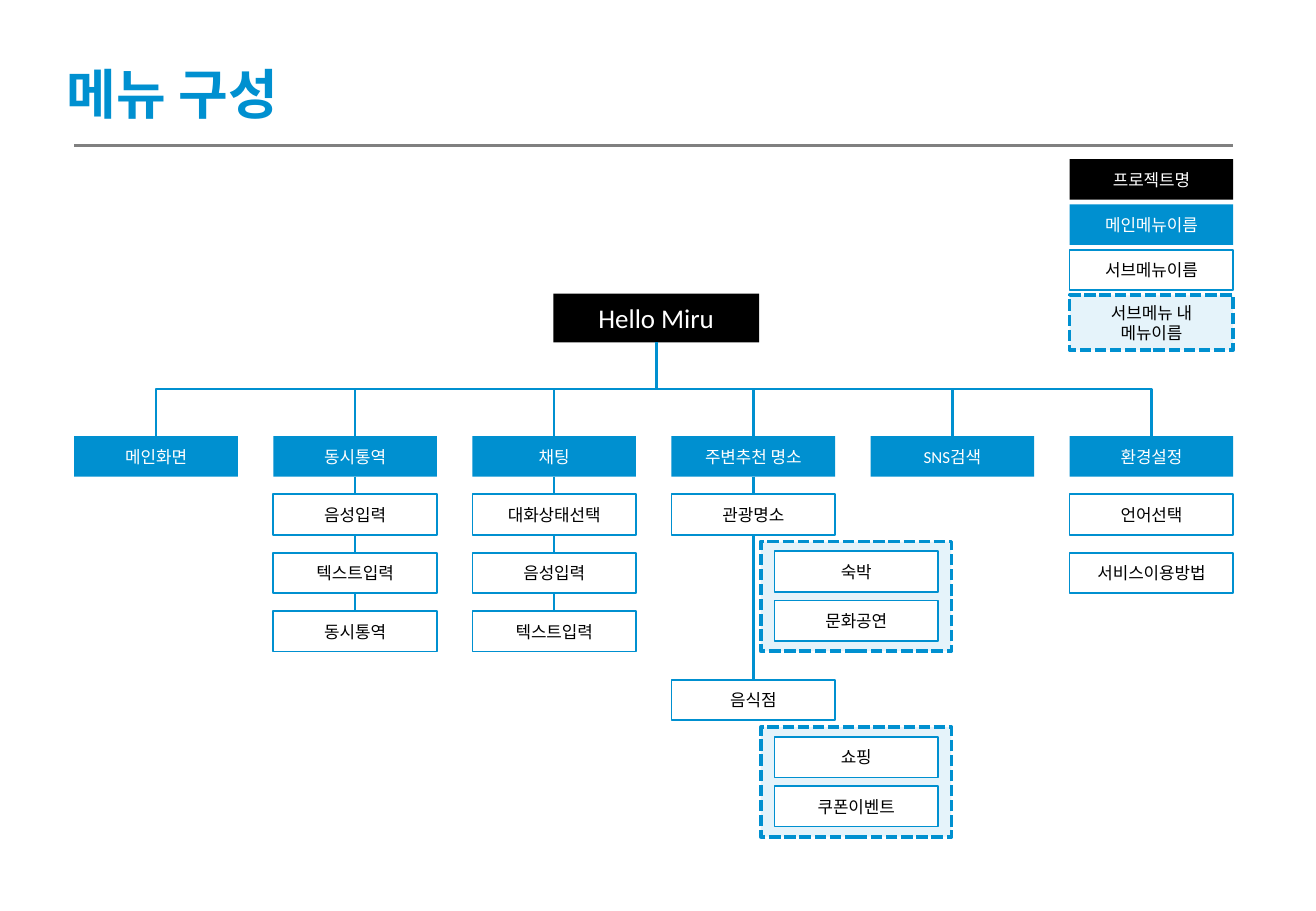
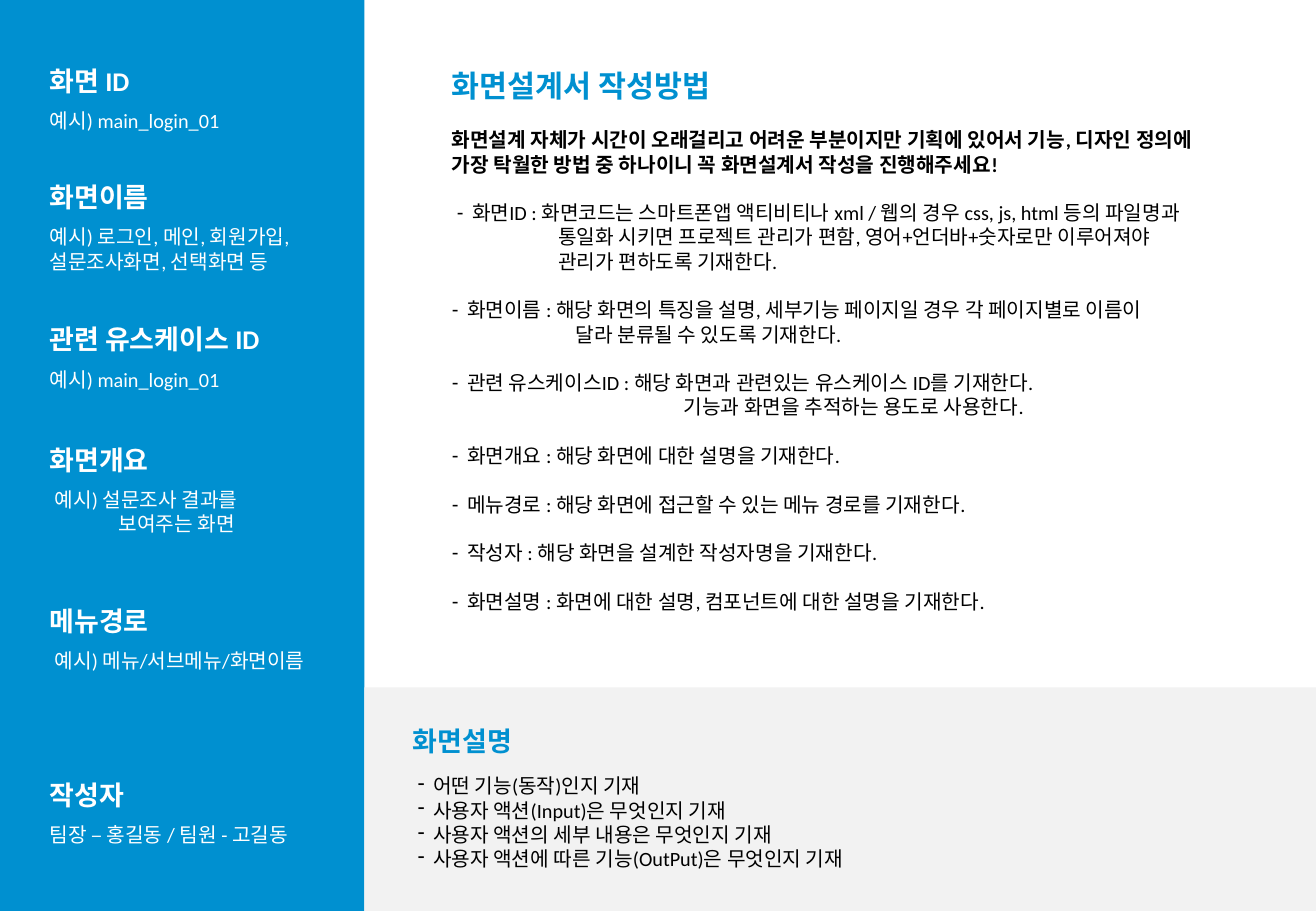
from dataclasses import dataclass

from lxml import etree
from pptx import Presentation
from pptx.dml.color import RGBColor
from pptx.enum.dml import MSO_LINE
from pptx.enum.shapes import MSO_CONNECTOR as Link, MSO_SHAPE as Preset
from pptx.enum.text import MSO_ANCHOR as Anchor, MSO_AUTO_SIZE as AutoSize, PP_ALIGN as Align
from pptx.oxml.ns import qn
from pptx.util import Pt


@dataclass(frozen=True)
class Theme:
    """Colours and type sizes shared by both slides."""
    font: str = "Calibri"
    blue: str = "0090D0"
    black: str = "000000"
    white: str = "FFFFFF"
    rule: str = "808080"
    panel: str = "F2F2F2"
    page_title: int = 32
    guide_title: int = 18
    heading: int = 16
    body: int = 12
    label: int = 10
    stroke: float = 1.5


@dataclass(frozen=True)
class Look:
    """Fill, text and outline of a kind of menu box."""
    fill: str
    text: str = "FFFFFF"
    outline: float = 0
    dashed: bool = False


@dataclass(frozen=True)
class Line:
    """One paragraph with its indent, dash, weight and space above."""
    text: str
    indent: float = 0
    dash: bool = False
    bold: bool = False
    before: float = 0


THEME = Theme()
PROJECT = Look(THEME.black)
MAIN = Look(THEME.blue)
SUB = Look(THEME.white, THEME.black, 1)
INNER = Look(THEME.blue, THEME.black, 2.25, True)

BOX_W, BOX_H = 97, 24
LEFT, COLUMN_STEP = 44, 118
RIGHT = LEFT + 5 * COLUMN_STEP + BOX_W
MAIN_TOP, SUB_TOP, SUB_STEP = 258.5, 293, 34.6
DASH_GAP, BLANK = 9, 14.4
SIDE_LEFT, SIDE_W = 22.3, 190

MENU = [
    ("메인화면", []),
    ("동시통역", ["음성입력", "텍스트입력", "동시통역"]),
    ("채팅", ["대화상태선택", "음성입력", "텍스트입력"]),
    ("주변추천 명소", ["관광명소", "음식점"]),
    ("SNS검색", []),
    ("환경설정", ["언어선택", "서비스이용방법"]),
]
INNER_MENU = {"관광명소": ["숙박", "문화공연"], "음식점": ["쇼핑", "쿠폰이벤트"]}
LEGEND = [("프로젝트명", PROJECT, BOX_H), ("메인메뉴이름", MAIN, BOX_H),
          ("서브메뉴이름", SUB, BOX_H), ("서브메뉴 내 메뉴이름", INNER, 32.4)]

SIDEBAR = [
    (34.6, "화면 ID", [Line("예시) main_login_01")]),
    (103.7, "화면이름", [Line("예시) 로그인, 메인, 회원가입,"), Line("설문조사화면, 선택화면 등")]),
    (187.9, "관련 유스케이스 ID", [Line("예시) main_login_01")]),
    (259.2, "화면개요", [Line("예시) 설문조사 결과를", 3), Line("보여주는 화면", 41)]),
    (355, "메뉴경로", [Line("예시) 메뉴/서브메뉴/화면이름", 3)]),
    (458, "작성자", [Line("팀장 – 홍길동 / 팀원 - 고길동")]),
]


def item(text, indent=0, before=BLANK):
    """Describe a dashed list item."""
    return Line(text, indent, dash=True, before=before)


GUIDE = [
    Line("화면설계 자체가 시간이 오래걸리고 어려운 부분이지만 기획에 있어서 기능, 디자인 정의에 "
         "가장 탁월한 방법 중 하나이니 꼭 화면설계서 작성을 진행해주세요!", bold=True),
    item("화면ID : 화면코드는 스마트폰앱 액티비티나 xml / 웹의 경우 css, js, html 등의 파일명과", 3),
    Line("통일화 시키면 프로젝트 관리가 편함, 영어+언더바+숫자로만 이루어져야", 63),
    Line("관리가 편하도록 기재한다.", 63),
    item("화면이름 : 해당 화면의 특징을 설명, 세부기능 페이지일 경우 각 페이지별로 이름이"),
    Line("달라 분류될 수 있도록 기재한다.", 73.5),
    item("관련 유스케이스ID : 해당 화면과 관련있는 유스케이스 ID를 기재한다."),
    Line("기능과 화면을 추적하는 용도로 사용한다.", 137.5),
    item("화면개요 : 해당 화면에 대한 설명을 기재한다."),
    item("메뉴경로 : 해당 화면에 접근할 수 있는 메뉴 경로를 기재한다."),
    item("작성자 : 해당 화면을 설계한 작성자명을 기재한다."),
    item("화면설명 : 화면에 대한 설명, 컴포넌트에 대한 설명을 기재한다."),
]
DESCRIPTION = [item(text, 3, 0) for text in (
    "어떤 기능(동작)인지 기재",
    "사용자 액션(Input)은 무엇인지 기재",
    "사용자 액션의 세부 내용은 무엇인지 기재",
    "사용자 액션에 따른 기능(OutPut)은 무엇인지 기재",
)]


def rgb(code):
    """Turn a hex code into a colour."""
    return RGBColor.from_string(code)


def set_font(paragraph, size, color, bold=False):
    """Format every run of a paragraph."""
    for run in paragraph.runs:
        run.font.name = THEME.font
        run.font.size = Pt(size)
        run.font.bold = bold
        run.font.color.rgb = rgb(color)


def write_lines(frame, lines, size, color):
    """Fill a text frame with left-aligned paragraphs."""
    frame.word_wrap = True
    frame.auto_size = AutoSize.NONE
    frame.vertical_anchor = Anchor.TOP
    frame.text = "\n".join(line.text for line in lines)
    for paragraph, line in zip(frame.paragraphs, lines):
        paragraph.alignment = Align.LEFT
        paragraph.space_before = Pt(line.before)
        set_font(paragraph, size, color, line.bold)
        hang = DASH_GAP if line.dash else 0
        props = paragraph._p.get_or_add_pPr()
        props.set("marL", str(Pt(line.indent + hang)))
        props.set("indent", str(Pt(-hang)))
        if line.dash:
            etree.SubElement(props, qn("a:buChar")).set("char", "-")
        else:
            etree.SubElement(props, qn("a:buNone"))


def place(holder, left, top, width, height):
    """Move a placeholder to a position in points."""
    holder.left, holder.top = Pt(left), Pt(top)
    holder.width, holder.height = Pt(width), Pt(height)
    return holder.text_frame


def add_text(slide, left, top, width, height, lines, size, color):
    """Add a text box."""
    area = slide.shapes.add_textbox(Pt(left), Pt(top), Pt(width), Pt(height))
    write_lines(area.text_frame, lines, size, color)


def add_box(slide, left, top, width, height, look, text="", size=THEME.label):
    """Add a rectangle in a given look, with an optional centred label."""
    box = slide.shapes.add_shape(Preset.RECTANGLE, Pt(left), Pt(top), Pt(width), Pt(height))
    box.shadow.inherit = False
    box.fill.solid()
    box.fill.fore_color.rgb = rgb(look.fill)
    if look.outline:
        box.line.color.rgb = rgb(THEME.blue)
        box.line.width = Pt(look.outline)
    else:
        box.line.fill.background()
    if look.dashed:
        box.line.dash_style = MSO_LINE.SQUARE_DOT
        tint = box.element.xpath("./p:spPr/a:solidFill/a:srgbClr")[0]
        etree.SubElement(tint, qn("a:alpha")).set("val", "10000")
    if text:
        box.text_frame.text = text
        box.text_frame.paragraphs[0].alignment = Align.CENTER
        set_font(box.text_frame.paragraphs[0], size, look.text)
    return box


def add_line(slide, x1, y1, x2, y2, color=THEME.blue, kind=Link.STRAIGHT):
    """Add a connector without a shadow."""
    line = slide.shapes.add_connector(kind, Pt(x1), Pt(y1), Pt(x2), Pt(y2))
    line.line.color.rgb = rgb(color)
    line.line.width = Pt(THEME.stroke)
    etree.SubElement(line.element.spPr, qn("a:effectLst"))
    return line


def add_branch(slide, x, y, root_x, root_y):
    """Add an elbow that rises from a menu box, runs level and rises to the root."""
    rise, run = y - root_y, abs(root_x - x)
    left, top = (x + root_x - rise) / 2, (y + root_y - run) / 2
    elbow = add_line(slide, left, top, left + rise, top + run, kind=Link.ELBOW)
    frame = elbow.element.spPr.find(qn("a:xfrm"))
    frame.set("flipV", "1")
    if x < root_x:
        frame.set("flipH", "1")
    frame.set("rot", str((90 if x < root_x else 270) * 60000))


def join(slide, upper, lower):
    """Connect the bottom of one box to the top of the next."""
    line = add_line(slide, 0, 0, 1, 1)
    line.begin_connect(upper, 2)
    line.end_connect(lower, 0)


def add_inner_menu(slide, left, top, names):
    """Add a dashed panel holding the menus inside a submenu."""
    add_box(slide, left, top, 113, 65, INNER)
    for row, name in enumerate(names):
        add_box(slide, left + 8, top + 5.8 + row * 29.2, BOX_W, BOX_H, SUB, name)


def add_column(slide, left, name, subs):
    """Add a main menu box with its submenus and return the main box."""
    main_box = upper = add_box(slide, left, MAIN_TOP, BOX_W, BOX_H, MAIN, name)
    for row, sub in enumerate(subs):
        top = 403 if sub == "음식점" else SUB_TOP + row * SUB_STEP
        sub_box = add_box(slide, left, top, BOX_W, BOX_H, SUB, sub)
        if name != "환경설정":
            join(slide, upper, sub_box)
        if sub in INNER_MENU:
            add_inner_menu(slide, left + BOX_W / 2 + 4.5, top + 28, INNER_MENU[sub])
        upper = sub_box
    return main_box


def build_menu(deck):
    """Build the menu tree slide."""
    slide = deck.slides.add_slide(deck.slide_layouts[5])
    title = place(slide.shapes.title, 32.4, 32.4, 160, 46)
    write_lines(title, [Line("메뉴 구성", bold=True)], THEME.page_title, THEME.blue)
    add_line(slide, LEFT, 86.4, RIGHT, 86.4, THEME.rule)
    root_left, root_top, root_w, root_h = 328, 174, 122, 29
    root_x, root_bottom = root_left + root_w / 2, root_top + root_h
    add_box(slide, root_left, root_top, root_w, root_h, PROJECT, "Hello Miru", THEME.heading)
    for column, (name, subs) in enumerate(MENU):
        left = LEFT + column * COLUMN_STEP
        center = left + BOX_W / 2
        main_box = add_column(slide, left, name, subs)
        if column in (0, len(MENU) - 1):
            add_branch(slide, center, MAIN_TOP, root_x, root_bottom)
        else:
            drop = add_line(slide, center, (root_bottom + MAIN_TOP) / 2, center, MAIN_TOP)
            drop.end_connect(main_box, 0)
    for row, (name, look, height) in enumerate(LEGEND):
        add_box(slide, RIGHT - BOX_W, 94.3 + row * 26.9, BOX_W, height, look, name)


def build_guide(deck):
    """Build the slide on how to write a screen specification."""
    slide = deck.slides.add_slide(deck.slide_layouts[1])
    add_box(slide, 0, 0, 216, 540, MAIN)
    add_box(slide, 216, 407.5, 564, 132.5, Look(THEME.panel))
    title = place(slide.shapes.title, 260.6, 36, 182, 29)
    write_lines(title, [Line("화면설계서 작성방법", bold=True)], THEME.guide_title, THEME.blue)
    body = place(slide.placeholders[1], 260.6, 72, 475, 298)
    write_lines(body, GUIDE, THEME.body, THEME.black)
    for top, heading, details in SIDEBAR:
        add_text(slide, SIDE_LEFT, top, SIDE_W, 26.6, [Line(heading, bold=True)],
                 THEME.heading, THEME.white)
        add_text(slide, SIDE_LEFT, top + 26, SIDE_W, 7.2 + BLANK * len(details), details,
                 THEME.body, THEME.white)
    add_text(slide, 237.6, 426.2, 90, 26.6, [Line("화면설명", bold=True)],
             THEME.heading, THEME.blue)
    add_text(slide, 237.6, 455, 423, 65.5, DESCRIPTION, THEME.body, THEME.black)


def main():
    """Create and save the presentation."""
    deck = Presentation()
    deck.slide_width, deck.slide_height = Pt(780), Pt(540)
    build_menu(deck)
    build_guide(deck)
    deck.save("out.pptx")


if __name__ == "__main__":
    main()
